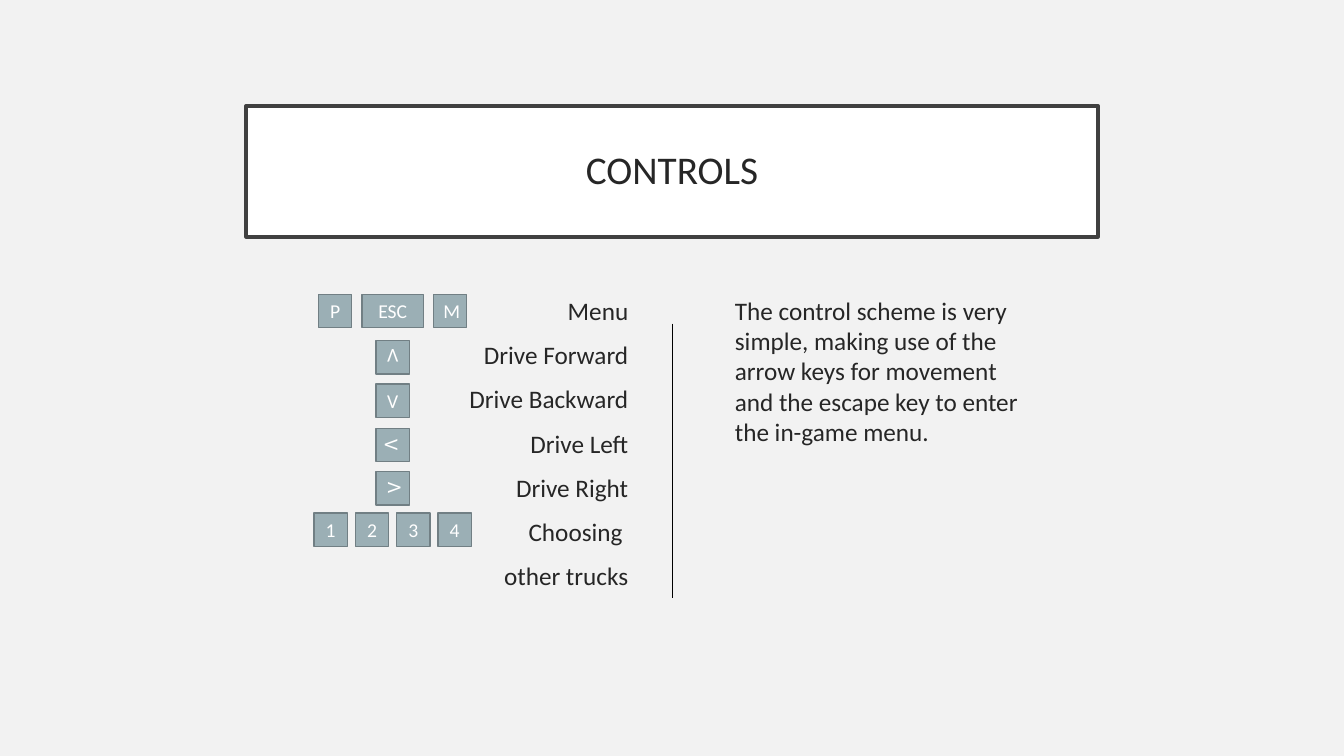
from pptx import Presentation
from pptx import util as u
from pptx.dml.color import RGBColor
from pptx.enum import shapes, text
from lxml import etree

COLORS = {"back": "F2F2F2", "panel": "FFFFFF", "frame": "404040", "ink": "262626",
          "key": "9BAFB5", "edge": "717F84", "label": "FFFFFF", "rule": "000000"}
TITLE = "CONTROLS"
ACTIONS = ["Menu", "Drive Forward", "Drive Backward", "Drive Left",
           "Drive Right", "Choosing ", "other trucks"]
NOTE = ("The control scheme is very simple, making use of the arrow keys for "
        "movement and the escape key to enter the in-game menu.")
ROWS = [
    (2.92, 0.10, 0, ["P", "ESC", "M"]),
    (3.38, 0, 180, ["V"]),
    (3.81, 0, 0, ["V"]),
    (4.25, 0, 90, ["V"]),
    (4.68, 0, 270, ["V"]),
    (5.09, 0.08, 0, ["1", "2", "3", "4"]),
]
MIDDLE, SIDE, WIDE = 3.895, 0.33, 0.61
ALIGN, ANCHOR = text.PP_ALIGN, text.MSO_ANCHOR


def rgb(name):
    return RGBColor.from_string(COLORS[name])


def box(at):
    return [u.Inches(n) for n in at]


def paint(shape, fill, line, width):
    shape.fill.solid()
    shape.fill.fore_color.rgb = rgb(fill)
    shape.line.color.rgb = rgb(line)
    shape.line.width = u.Pt(width)


def write(shape, lines, size=18, color="ink", align=ALIGN.LEFT, anchor=ANCHOR.TOP,
          inset=(0.1, 0.05), before=0, spacing=None):
    frame = shape.text_frame
    frame.word_wrap = True
    frame.auto_size = text.MSO_AUTO_SIZE.NONE
    frame.vertical_anchor = anchor
    frame.margin_left = frame.margin_right = u.Inches(inset[0])
    frame.margin_top = frame.margin_bottom = u.Inches(inset[1])
    for i, line in enumerate(lines):
        para = frame.add_paragraph() if i else frame.paragraphs[0]
        para.alignment = align
        para.space_before = u.Pt(before if i else 0)
        if spacing:
            para.line_spacing = spacing
        run = para.add_run()
        run.text = line
        run.font.size = u.Pt(size)
        run.font.name = "Calibri"
        run.font.color.rgb = rgb(color)


deck = Presentation()
deck.slide_width, deck.slide_height = box((13.33, 7.5))
slide = deck.slides.add_slide(deck.slide_layouts[5])
slide.background.fill.solid()
slide.background.fill.fore_color.rgb = rgb("back")

title = slide.shapes.title
title.left, title.top, title.width, title.height = box((2.44, 1.05, 8.45, 1.3))
paint(title, "panel", "frame", 2.5)
write(title, [TITLE], size=28, align=ALIGN.CENTER, anchor=ANCHOR.MIDDLE,
      inset=(0.2, 0.2), spacing=0.9)

write(slide.shapes.add_textbox(*box((2.58, 2.88, 3.75, 3.39))), ACTIONS,
      align=ALIGN.RIGHT, before=10)
write(slide.shapes.add_textbox(*box((7.19, 2.88, 3.09, 3.39))), [NOTE])

for top, gap, turn, keys in ROWS:
    widths = [WIDE if len(key) > 1 else SIDE for key in keys]
    left = MIDDLE - (sum(widths) + gap * (len(keys) - 1)) / 2
    for key, width in zip(keys, widths):
        cap = slide.shapes.add_shape(shapes.MSO_SHAPE.RECTANGLE,
                                     *box((left, top, width, SIDE)))
        cap.shadow.inherit = False
        cap.rotation = turn
        paint(cap, "key", "edge", 1)
        write(cap, [key], size=14, color="label", align=ALIGN.CENTER,
              anchor=ANCHOR.MIDDLE)
        left += width + gap

rule = slide.shapes.add_connector(shapes.MSO_CONNECTOR.STRAIGHT,
                                  *box((6.67, 3.21, 6.67, 5.93)))
rule.line.color.rgb = rgb("rule")
rule.line.width = u.Pt(0.75)
etree.SubElement(rule._element.spPr,
                 "{http://schemas.openxmlformats.org/drawingml/2006/main}effectLst")

deck.save("out.pptx")
